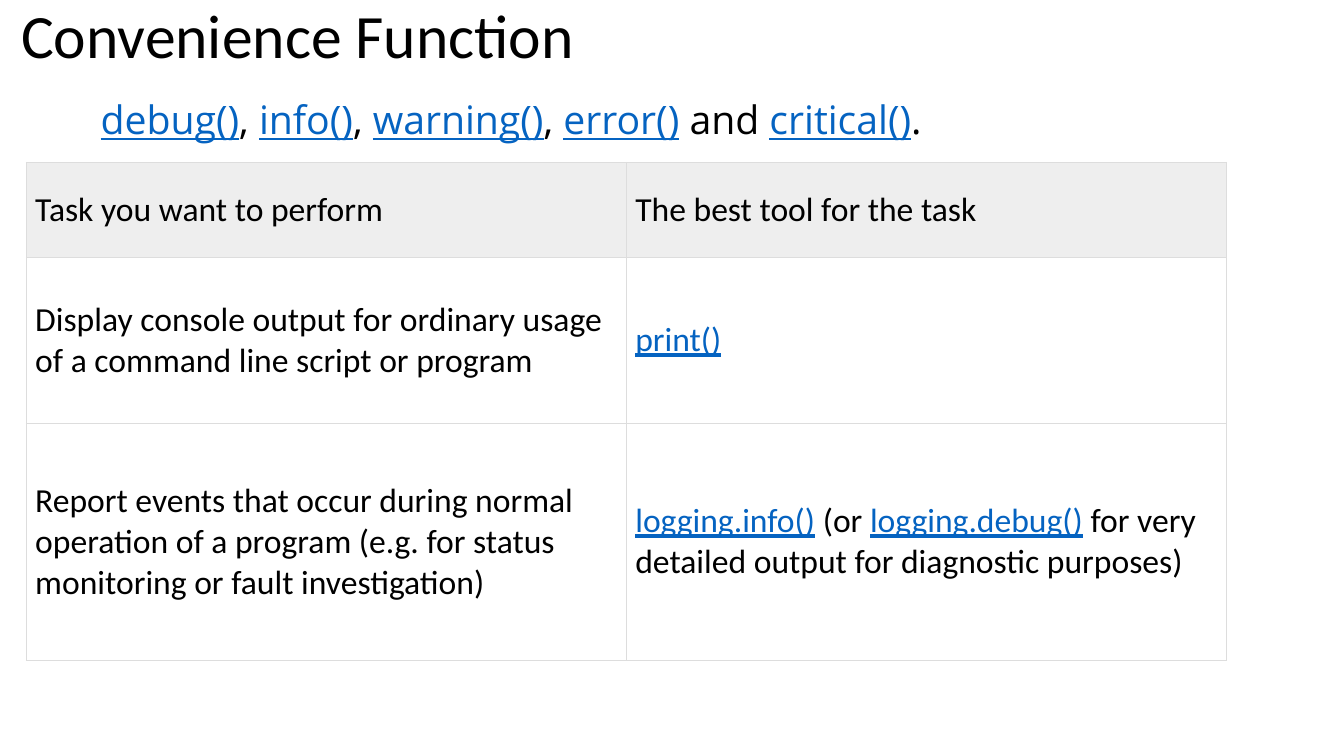
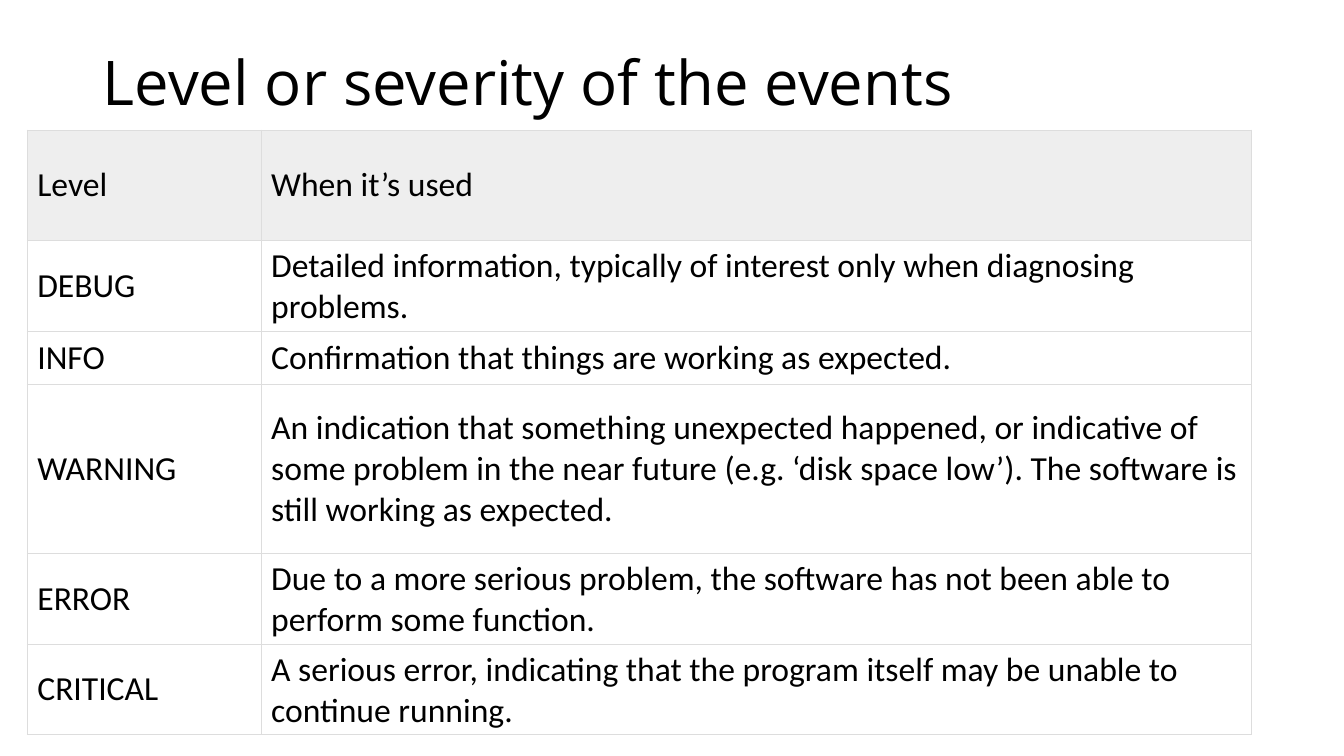
"""Build two slides on logging functions and severity levels."""
from dataclasses import dataclass

from lxml import etree
from pptx import Presentation, dml, util as u
from pptx.dml import color
from pptx.enum import text
from pptx.oxml import ns

WIDTH, HEIGHT = 13.33, 7.5
TEXT, LINK, HEADER, BODY, BORDER = "000000", "0563C1", "EEEEEE", "FFFFFF", "DDDDDD"
SANS, OPEN = "Calibri", "Open Sans"
BOX_WIDTH = 86.25


@dataclass(frozen=True)
class Label:
    """A text box, placed in percent of the slide's size."""
    content: str
    left: float
    top: float
    height: float
    font: str
    size: float = 44
    anchor: text.MSO_ANCHOR = text.MSO_ANCHOR.MIDDLE


@dataclass(frozen=True)
class Grid:
    """A bordered table, measured in percent of the slide's size."""
    left: float
    top: float
    columns: tuple[float, ...]
    rows: tuple[float, ...]
    cells: tuple[tuple[str, ...], ...]
    inset: tuple[float, float] = (0.1, 0.05)


def across(share: float) -> int:
    """Return a percentage of the slide width."""
    return u.Inches(WIDTH * share / 100)


def down(share: float) -> int:
    """Return a percentage of the slide height."""
    return u.Inches(HEIGHT * share / 100)


def rgb(code: str) -> color.RGBColor:
    """Turn a hex string into a colour."""
    return color.RGBColor.from_string(code)


def write(paragraph, content: str, *, font: str, size: float) -> None:
    """Write text in which parts between backticks look like links."""
    for index, part in enumerate(content.split("`")):
        if part:
            linked = index % 2 == 1
            run = paragraph.add_run()
            run.text = part
            run.font.name, run.font.size = font, u.Pt(size)
            run.font.color.rgb = rgb(LINK if linked else TEXT)
            run.font.underline = linked


def add_label(slide, label: Label) -> None:
    """Draw one text box."""
    shape = slide.shapes.add_textbox(across(label.left), down(label.top),
                                     across(BOX_WIDTH), down(label.height))
    frame = shape.text_frame
    frame.word_wrap = True
    frame.vertical_anchor = label.anchor
    paragraph = frame.paragraphs[0]
    paragraph.line_spacing = 0.9
    write(paragraph, label.content, font=label.font, size=label.size)


def add_borders(cell) -> None:
    """Outline all four sides of a cell."""
    properties = cell._tc.get_or_add_tcPr()
    for side in ("a:lnL", "a:lnR", "a:lnT", "a:lnB"):
        line = etree.SubElement(properties, ns.qn(side), w=str(u.Pt(0.75)))
        fill = etree.SubElement(line, ns.qn("a:solidFill"))
        etree.SubElement(fill, ns.qn("a:srgbClr"), val=BORDER)


def add_grid(slide, grid: Grid) -> None:
    """Draw one table with a shaded header row."""
    table = slide.shapes.add_table(
        len(grid.rows), len(grid.columns), across(grid.left), down(grid.top),
        across(sum(grid.columns)), down(sum(grid.rows))).table
    table.horz_banding = table.first_row = False
    for column, width in zip(table.columns, grid.columns):
        column.width = across(width)
    for index, (row, height) in enumerate(zip(table.rows, grid.rows)):
        row.height = down(height)
        for cell, content in zip(row.cells, grid.cells[index]):
            cell.margin_left = cell.margin_right = u.Inches(grid.inset[0])
            cell.margin_top = cell.margin_bottom = u.Inches(grid.inset[1])
            cell.vertical_anchor = text.MSO_ANCHOR.MIDDLE
            add_borders(cell)
            cell.fill.solid()
            cell.fill.fore_color.rgb = rgb(BODY if index else HEADER)
            write(cell.text_frame.paragraphs[0], content, font=SANS, size=24)


TOOLS = Grid(1.95, 21.47, (44.65, 44.65), (12.53, 22, 31.33), (
    ("Task you want to perform", "The best tool for the task"),
    ("Display console output for ordinary usage of a command line script or program",
     "`print()`"),
    ("Report events that occur during normal operation of a program "
     "(e.g. for status monitoring or fault investigation)",
     "`logging.info()` (or `logging.debug()` for very detailed output "
     "for diagnostic purposes)"),
), inset=(0.09, 0.04))

LEVELS = Grid(2.03, 17.2, (17.4, 73.67), (14.67, 12, 6.93, 22.4, 12, 12), (
    ("Level", "When it’s used"),
    ("DEBUG", "Detailed information, typically of interest only when diagnosing problems."),
    ("INFO", "Confirmation that things are working as expected."),
    ("WARNING", "An indication that something unexpected happened, or indicative of some "
     "problem in the near future (e.g. ‘disk space low’). The software is still working "
     "as expected."),
    ("ERROR", "Due to a more serious problem, the software has not been able to perform "
     "some function."),
    ("CRITICAL", "A serious error, indicating that the program itself may be unable to "
     "continue running."),
))

SLIDES = (
    ((Label("Convenience Function", 0.83, 0, 10.27, SANS),
      Label("`debug()`, `info()`, `warning()`, `error()` and `critical()`.",
            6.75, 12.67, 63.47, OPEN, 28, text.MSO_ANCHOR.TOP)), TOOLS),
    ((Label("Level or severity of the events", 6.9, 5.33, 11.87, OPEN),), LEVELS),
)


def main() -> None:
    """Build and save the presentation."""
    presentation = Presentation()
    presentation.slide_width, presentation.slide_height = u.Inches(WIDTH), u.Inches(HEIGHT)
    for labels, grid in SLIDES:
        slide = presentation.slides.add_slide(presentation.slide_layouts[6])
        for label in labels:
            add_label(slide, label)
        add_grid(slide, grid)
    presentation.save("out.pptx")


if __name__ == "__main__":
    main()
